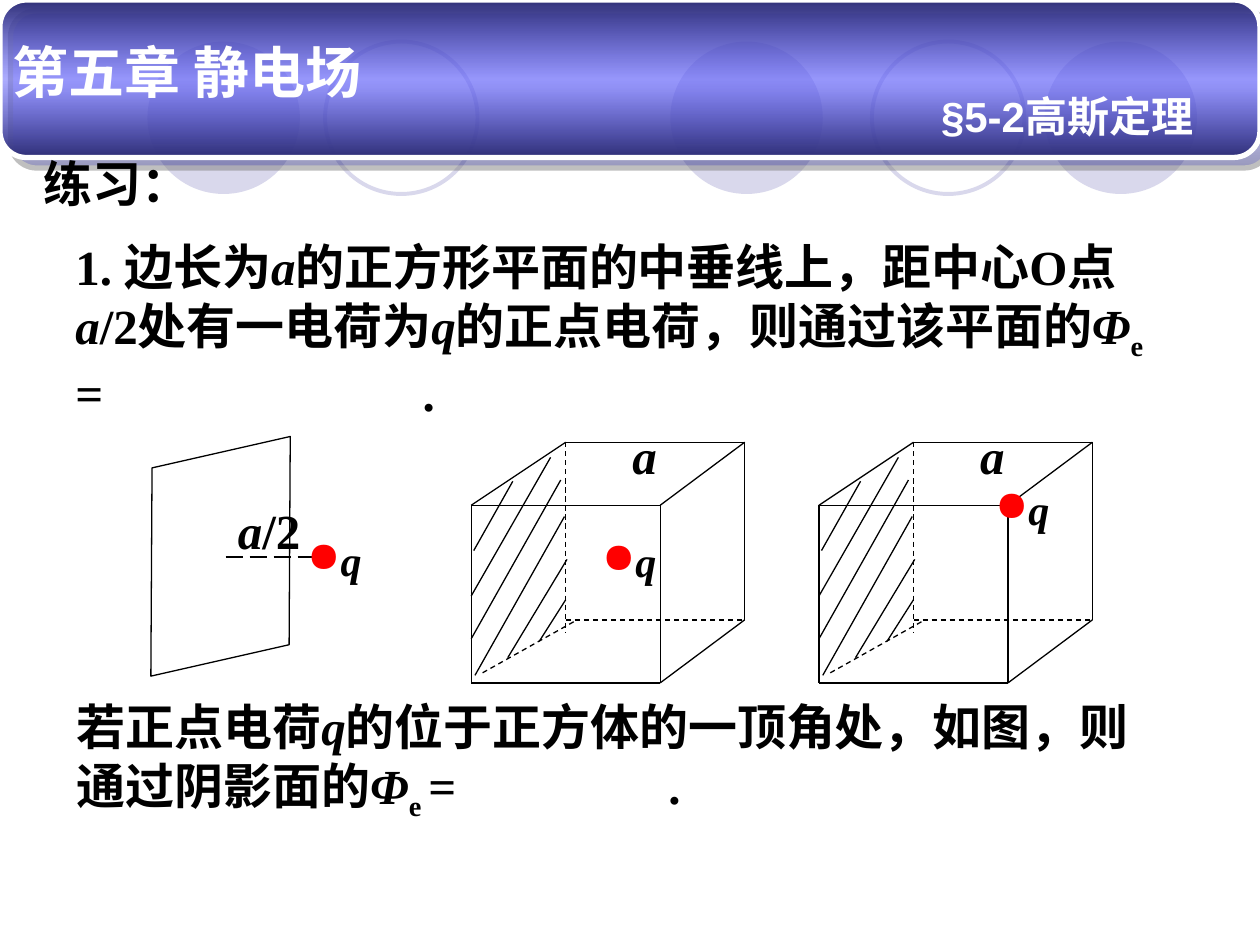
from lxml import etree
from pptx import Presentation
from pptx.dml.color import RGBColor
from pptx.enum import dml, shapes, text
from pptx.oxml.ns import qn
from pptx.util import Inches, Pt

BLACK = RGBColor(0x00, 0x00, 0x00)
WHITE = RGBColor(0xFF, 0xFF, 0xFF)
LILAC = RGBColor(0xD9, 0xD8, 0xEC)
NAVY = RGBColor(0x2F, 0x2F, 0x75)
VIOLET = RGBColor(0x67, 0x67, 0xFF)
GRAY = RGBColor(0x80, 0x80, 0x80)
RED = RGBColor(0xFF, 0x00, 0x00)
SERIF = "Times New Roman"

presentation = Presentation()
presentation.slide_width = Inches(10)
presentation.slide_height = Inches(7.5)
slide = presentation.slides.add_slide(presentation.slide_layouts[5])


def add_text(left, top, width, height, runs, size=28, name=SERIF, color=BLACK,
             wrap=True, charge=False, blank_end=None):
    box = slide.shapes.add_textbox(Inches(left), Inches(top), Inches(width), Inches(height))
    box.text_frame.word_wrap = wrap
    paragraph = box.text_frame.paragraphs[0]
    properties = paragraph._p.get_or_add_pPr()
    if charge:
        bullet_color = etree.SubElement(properties, qn("a:buClr"))
        etree.SubElement(bullet_color, qn("a:srgbClr"), val=str(RED))
        etree.SubElement(properties, qn("a:buChar"), char="●")
    if blank_end:
        tabs = etree.SubElement(properties, qn("a:tabLst"))
        etree.SubElement(tabs, qn("a:tab"), pos=str(Inches(blank_end)), algn="l")
    for content, style in runs:
        run = paragraph.add_run()
        run.text = content
        run.font.size = Pt(size)
        run.font.name = name
        run.font.bold = True
        run.font.italic = style == "italic"
        run.font.underline = style == "underline"
        run.font.color.rgb = color
        if style == "subscript":
            run._r.get_or_add_rPr().set("baseline", "-25000")


def add_line(x1, y1, x2, y2, dash=None, weight=0.75):
    line = slide.shapes.add_connector(
        shapes.MSO_CONNECTOR.STRAIGHT, Inches(x1), Inches(y1), Inches(x2), Inches(y2))
    line.line.color.rgb = BLACK
    line.line.width = Pt(weight)
    if dash:
        line.line.dash_style = dash
    etree.SubElement(line._element.spPr, qn("a:effectLst"))


for left, filled in [(5.32, True), (8.29, True), (1.17, True), (6.92, False), (2.58, False)]:
    circle = slide.shapes.add_shape(
        shapes.MSO_SHAPE.OVAL, Inches(left), Inches(0.33), Inches(1.21), Inches(1.21))
    circle.shadow.inherit = False
    if filled:
        circle.fill.solid()
        circle.fill.fore_color.rgb = LILAC
        circle.line.fill.background()
    else:
        circle.fill.background()
        circle.line.color.rgb = LILAC
        circle.line.width = Pt(2.25)

banner = slide.shapes.add_shape(
    shapes.MSO_SHAPE.ROUNDED_RECTANGLE, 0, 0, Inches(10), Inches(1.25))
banner.adjustments[0] = 0.167
banner.line.color.rgb = WHITE
banner.line.width = Pt(3)
banner.fill.gradient()
banner.fill.gradient_angle = 270
stops = banner._element.spPr.find(qn("a:gradFill")).find(qn("a:gsLst"))
for stop in list(stops):
    stops.remove(stop)
for position, color, opacity in [(0, NAVY, 100), (50, VIOLET, 53), (100, NAVY, 100)]:
    stop = etree.SubElement(stops, qn("a:gs"), pos=str(position * 1000))
    stop_color = etree.SubElement(stop, qn("a:srgbClr"), val=str(color))
    etree.SubElement(stop_color, qn("a:alpha"), val=str(opacity * 1000))
banner.shadow.inherit = False
effects = banner._element.spPr.find(qn("a:effectLst"))
shadow = etree.SubElement(effects, qn("a:outerShdw"), dist=str(Pt(8.5)),
                          dir="2700000", algn="ctr", rotWithShape="0")
shadow_color = etree.SubElement(shadow, qn("a:srgbClr"), val=str(GRAY))
etree.SubElement(shadow_color, qn("a:alpha"), val="50000")

title = slide.shapes.title
title.left, title.top = Inches(0), Inches(0.25)
title.width, title.height = Inches(3.58), Inches(0.64)
title.text_frame.text = "第五章 静电场"
title.text_frame.auto_size = text.MSO_AUTO_SIZE.NONE
title.text_frame.vertical_anchor = text.MSO_ANCHOR.TOP
title_paragraph = title.text_frame.paragraphs[0]
title_paragraph.alignment = text.PP_ALIGN.LEFT
title_font = title_paragraph.runs[0].font
title_font.size = Pt(32)
title_font.name = "Arial"
title_font.bold = True
title_font.color.rgb = WHITE
slide.shapes._spTree.append(title._element)

add_text(7.37, 0.67, 2.28, 0.5, [("§5-2高斯定理", "")], 24, "Arial", WHITE, wrap=False)
add_text(0.25, 1.17, 2.28, 0.57, [("练习：", "")], name="Arial")

flux_blank = [("Φ", "italic"), ("e ", "subscript"), ("=", ""), ("\t", "underline"), (" .", "")]
add_text(0.5, 1.83, 8.74, 1.57, [
    ("1. 边长为", ""), ("a", "italic"), ("的正方形平面的中垂线上，距中心O点", ""),
    ("a", "italic"), ("/2处有一电荷为", ""), ("q", "italic"),
    ("的正点电荷，则通过该平面的", "")] + flux_blank, blank_end=2.66)
add_text(0.51, 5.48, 8.74, 1.1, [
    ("若正点电荷", ""), ("q", "italic"),
    ("的位于正方体的一顶角处，如图，则通过阴影面的", "")] + flux_blank, blank_end=4.6)

add_text(1.79, 3.92, 0.7, 0.57, [("a", "italic"), ("/2", "")])
plane = slide.shapes.add_shape(
    shapes.MSO_SHAPE.PARALLELOGRAM, Inches(1), Inches(3.61), Inches(1.5), Inches(1.61))
plane.adjustments[0] = 0.25
plane.rotation = 167.2
plane.shadow.inherit = False
plane.fill.background()
plane.line.color.rgb = BLACK
plane.line.width = Pt(0.75)
add_line(1.79, 4.42, 2.58, 4.42, dml.MSO_LINE.LONG_DASH, 1.25)

visible_edges = [
    (5.24, 4.01, 5.91, 3.51), (3.74, 4.01, 4.49, 3.51), (3.74, 4.01, 3.74, 5.42),
    (3.74, 4.01, 5.24, 4.01), (3.74, 5.42, 5.24, 5.42), (5.24, 4.01, 5.24, 5.42),
    (4.49, 3.51, 5.91, 3.51), (5.91, 3.51, 5.91, 4.92), (5.24, 5.42, 5.91, 4.92)]
hidden_edges = [
    (3.83, 5.34, 4.58, 4.92), (4.49, 3.51, 4.49, 5.02), (4.49, 4.92, 5.91, 4.92)]
hatching = [
    (4.07, 3.82, 3.76, 4.37), (4.45, 3.81, 3.74, 5.07), (4.5, 4.44, 4.03, 5.22),
    (4.48, 4.1, 3.77, 5.36), (4.37, 3.63, 3.74, 4.73), (4.49, 4.76, 4.28, 5.09)]
for shift in (0, 2.76):
    for x1, y1, x2, y2 in visible_edges + hatching:
        add_line(x1 + shift, y1, x2 + shift, y2)
    for x1, y1, x2, y2 in hidden_edges:
        add_line(x1 + shift, y1, x2 + shift, y2, dml.MSO_LINE.DASH)
    add_text(4.92 + shift, 3.33, 0.7, 0.57, [("a", "italic")])

for left, top, width, wrap in [(2.34, 4.19, 0.7, True), (4.68, 4.2, 0.56, False),
                               (7.8, 3.79, 0.56, False)]:
    add_text(left, top, width, 0.5, [("q", "italic")], 24, wrap=wrap, charge=True)

presentation.save("out.pptx")
